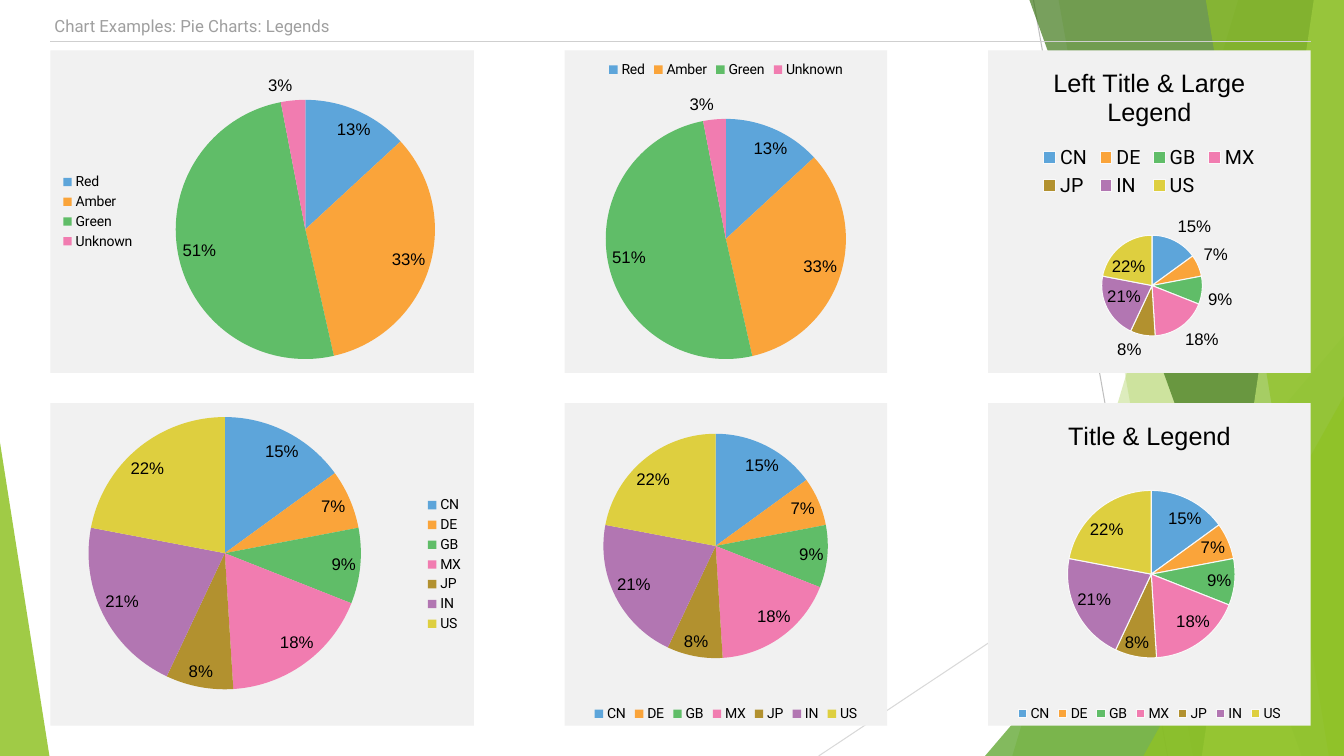
from lxml.etree import SubElement
from pptx import Presentation
from pptx.chart.data import CategoryChartData
from pptx.dml.color import RGBColor
from pptx.enum.chart import XL_CHART_TYPE, XL_LABEL_POSITION, XL_LEGEND_POSITION
from pptx.enum.shapes import MSO_CONNECTOR, MSO_SHAPE
from pptx.oxml.ns import qn
from pptx.util import Inches, Pt

WIDTH, HEIGHT = 13.33, 7.5
MARGIN, PANEL_HEIGHT, ROW_STEP = 0.5, 3.2, 3.5
COLUMNS = [(0.5, 4.2), (5.6, 3.2), (9.8, 3.2)]  # left, width
SLICE_COLORS = ["5DA5DA", "FAA43A", "60BD68", "F17CB0", "B2912F", "B276B2", "DECF3F"]
STATUS = {"Red": 13, "Amber": 33, "Green": 50, "Unknown": 3}
COUNTRIES = {"CN": 15, "DE": 7, "GB": 9, "MX": 18, "JP": 8, "IN": 21, "US": 22}
LEFT, TOP = XL_LEGEND_POSITION.LEFT, XL_LEGEND_POSITION.TOP
RIGHT, BOTTOM = XL_LEGEND_POSITION.RIGHT, XL_LEGEND_POSITION.BOTTOM


def color(code):
    return RGBColor.from_string(code)


def format_font(font, size, name="Roboto", ink="000000"):
    font.size, font.name, font.bold = Pt(size), name, False
    font.color.rgb = color(ink)


def write_text(frame, text, **font_format):
    run = frame.paragraphs[0].add_run()
    run.text = text
    format_font(run.font, **font_format)


def paint(shape, code, opacity=100):
    shape.shadow.inherit = False
    shape.line.fill.background()
    shape.fill.solid()
    shape.fill.fore_color.rgb = color(code)
    if opacity < 100:
        srgb = shape.fill._xPr.find(qn("a:solidFill")).find(qn("a:srgbClr"))
        SubElement(srgb, qn("a:alpha"), val=str(opacity * 1000))


def add_backdrop(slide):
    def hairline(x1, y1, x2, y2, code):
        line = slide.shapes.add_connector(
            MSO_CONNECTOR.STRAIGHT, *map(Inches, (x1, y1, x2, y2)))
        line.line.color.rgb = color(code)
        line.line.width = Pt(0.75)
        SubElement(line._element.spPr, qn("a:effectLst"))

    def facet(top_x, bottom_x, code, opacity):
        """A band from a slanted left edge to the right edge of the slide."""
        corners = [(top_x, 0), (WIDTH, 0), (WIDTH, HEIGHT), (bottom_x, HEIGHT)]
        points = [(Inches(x), Inches(y)) for x, y in corners]
        builder = slide.shapes.build_freeform(*points[0])
        builder.add_line_segments(points[1:], close=True)
        paint(builder.convert_to_shape(), code, opacity)

    def wedge(left, top, width, apex, code, opacity):
        """A triangle that stands on the bottom edge of the slide."""
        triangle = slide.shapes.add_shape(
            MSO_SHAPE.ISOSCELES_TRIANGLE,
            *map(Inches, (left, top, width, HEIGHT - top)))
        triangle.adjustments[0] = apex
        paint(triangle, code, opacity)

    hairline(10.25, 0, 11.58, HEIGHT, "BFBFBF")
    hairline(WIDTH, 4.03, 8.12, HEIGHT, "D9D9D9")
    facet(12.28, 10.04, "90C226", 30)
    facet(10.5, 11.83, "90C226", 20)
    wedge(9.77, 3.33, WIDTH - 9.77, 1, "54A021", 72)
    facet(10.21, 12.91, "3F7819", 70)
    facet(13.03, 11.92, "C0E474", 70)
    facet(11.96, 13.18, "90C226", 65)
    wedge(11.34, 3.93, WIDTH - 11.34, 1, "90C226", 80)
    wedge(0, 4.39, 0.49, 0, "90C226", 85)


def add_heading(slide, text, left, top, width, height):
    frame = slide.shapes.add_table(1, 1, *map(Inches, (left, top, width, height)))
    table = frame.table
    table.first_row = table.horz_banding = False
    cell = table.cell(0, 0)
    cell.margin_left = cell.margin_right = Inches(0.04)
    cell.margin_top = cell.margin_bottom = Inches(0.04)
    write_text(cell.text_frame, text, size=12, ink="9F9F9F")
    # Only the bottom border shows
    properties = cell._tc.get_or_add_tcPr()
    for side in ("lnL", "lnR", "lnT"):
        SubElement(SubElement(properties, qn(f"a:{side}"), w="0"), qn("a:noFill"))
    rule = SubElement(properties, qn("a:lnB"), w=str(Pt(1)))
    SubElement(SubElement(rule, qn("a:solidFill")), qn("a:srgbClr"), val="CFCFCF")
    cell.fill.background()


def add_pie_panel(slide, box, shares, legend_side, title=None, legend_size=10):
    box = [Inches(length) for length in box]
    paint(slide.shapes.add_shape(MSO_SHAPE.RECTANGLE, *box), "F1F1F1")

    data = CategoryChartData()
    data.categories = list(shares)
    data.add_series("Series 1", list(shares.values()))
    chart = slide.shapes.add_chart(XL_CHART_TYPE.PIE, *box, data).chart
    format_font(chart.font, 10)

    # Title and legend
    chart.has_title = title is not None
    if title:
        write_text(chart.chart_title.text_frame, title, size=18, name="Arial")
        chart.chart_title.include_in_layout = False
    chart.has_legend = True
    chart.legend.position = legend_side
    chart.legend.include_in_layout = False
    format_font(chart.legend.font, legend_size)

    # Slices: only the titled pies have light edges
    pie = chart.plots[0]
    pie.vary_by_categories = True
    for index, code in enumerate(SLICE_COLORS[:len(shares)]):
        piece = pie.series[0].points[index].format
        piece.fill.solid()
        piece.fill.fore_color.rgb = color(code)
        if title:
            piece.line.color.rgb = color("F9F9F9")
            piece.line.width = Pt(0.75)
        else:
            piece.line.fill.background()

    # Percentages
    pie.has_data_labels = True
    labels = pie.data_labels
    labels.show_percentage, labels.show_value = True, False
    labels.number_format, labels.number_format_is_linked = "0%", False
    labels.position = XL_LABEL_POSITION.BEST_FIT
    format_font(labels.font, 12, "Arial")


def main():
    deck = Presentation()
    deck.slide_width, deck.slide_height = Inches(WIDTH), Inches(HEIGHT)
    slide = deck.slides.add_slide(deck.slide_layouts[6])
    add_backdrop(slide)
    add_heading(slide, "Chart Examples: Pie Charts: Legends", MARGIN, 0.13, 12.5, 0.28)

    panel_rows = [
        [(STATUS, LEFT), (STATUS, TOP),
         (COUNTRIES, TOP, "Left Title & Large Legend", 14)],
        [(COUNTRIES, RIGHT), (COUNTRIES, BOTTOM),
         (COUNTRIES, BOTTOM, "Title & Legend")],
    ]
    for row, panels in enumerate(panel_rows):
        for (left, width), panel in zip(COLUMNS, panels):
            box = (left, MARGIN + row * ROW_STEP, width, PANEL_HEIGHT)
            add_pie_panel(slide, box, *panel)
    deck.save("out.pptx")


if __name__ == "__main__":
    main()
